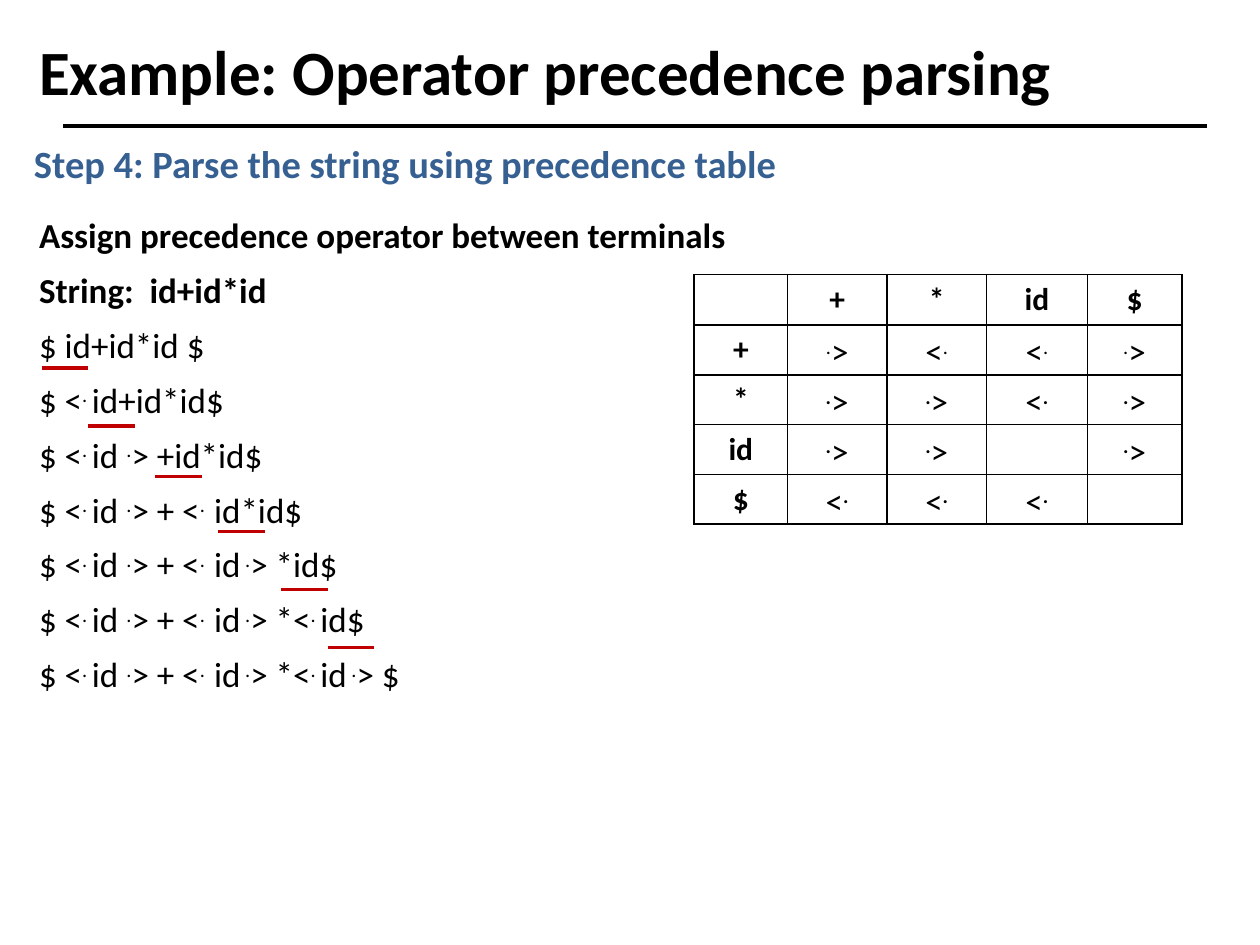
from dataclasses import dataclass
from lxml.etree import SubElement as Sub
from pptx import Presentation
from pptx.dml.color import RGBColor as RGB
from pptx.enum.shapes import MSO_CONNECTOR as Conn
from pptx.enum.text import MSO_ANCHOR as Anchor, MSO_AUTO_SIZE as Fit, PP_ALIGN as Align
from pptx.oxml.ns import qn
from pptx.util import Inches, Pt


@dataclass(frozen=True)
class Theme:
    """Colours, font and type sizes of the slide."""
    font: str = "Calibri"
    ink: str = "000000"
    step: str = "376092"
    mark: str = "C00000"
    title: int = 36
    head: int = 22
    body: int = 20
    label: int = 18


THEME = Theme()
UNIT = Inches(0.1)
COLS, ROWS = 100, 75

LINES = [
    "Assign precedence operator between terminals",
    "String:  id+id*id",
    "$ id+id*id $",
    "$ <|. |id+id*id$",
    "$ <|. |id |.|> +id*id$",
    "$ <|. |id |.|> + <|.  |id*id$",
    "$ <|. |id |.|> + <|.  |id| .|> *id$",
    "$ <|. |id |.|> + <|.  |id| .|> *<|. |id$",
    "$ <|. |id |.|> + <|.  |id| .|> *<|. |id| .|> $",
]
BOLD_LINES = 2
MARKS = [(3.3, 29.2), (7, 33.8), (12.3, 37.8), (17.3, 42.2), (22.3, 46.8), (26, 51.4)]
MARK_LEN = 3.7

LT, GT = "<|.", "|.|>"
HEADS = [["", "+", "*", "id", "$"]]
RULES = [
    ["+", GT, LT, LT, GT],
    ["*", GT, GT, LT, GT],
    ["id", GT, GT, "", GT],
    ["$", LT, LT, LT, ""],
]
WIDTHS = [7.4, 7.9, 7.9, 8, 7.5]
ROW_H = 3.95


def grid(*vals):
    """Turn grid counts into slide lengths."""
    return [round(v * UNIT) for v in vals]


def style(font, size, bold=False, color=THEME.ink):
    """Apply the theme font with a size, weight and colour."""
    font.name, font.size, font.bold = THEME.font, Pt(size), bold
    font.color.rgb = RGB.from_string(color)


def write(para, text, size, bold=False, dots=False):
    """Fill a paragraph, raising every second part between bars."""
    for i, part in enumerate(text.split("|")):
        if not part:
            continue
        run = para.add_run()
        run.text = part
        raised = i % 2 == 1
        style(run.font, size, dots if raised else bold)
        if raised:
            run._r.get_or_add_rPr().set("baseline", "30000")


def place(shape, *box):
    """Move and size a shape on the grid."""
    shape.left, shape.top, shape.width, shape.height = grid(*box)


def add_title(slide, text):
    """Set the slide title."""
    shape = slide.shapes.title
    place(shape, 2.1, 1.2, 95.8, 8.8)
    frame = shape.text_frame
    frame.text = text
    frame.auto_size = Fit.NONE
    frame.vertical_anchor = Anchor.MIDDLE
    para = frame.paragraphs[0]
    para.alignment = Align.LEFT
    style(para.runs[0].font, THEME.title, True)


def add_body(slide):
    """Write the parsing steps into the body placeholder."""
    shape = slide.placeholders[1]
    place(shape, 2.1, 16, 95.8, 53.1)
    frame = shape.text_frame
    frame.auto_size = Fit.NONE
    for i, line in enumerate(LINES):
        para = frame.add_paragraph() if i else frame.paragraphs[0]
        para.line_spacing = 1.14
        if i == 0:
            para.space_before = Pt(0)
        props = para._p.get_or_add_pPr()
        props.set("marL", str(Inches(0.38)))
        props.set("indent", str(-Inches(0.38)))
        Sub(props, qn("a:buNone"))
        write(para, line, THEME.body, i < BOLD_LINES)


def add_step(slide, text):
    """Add the coloured step heading."""
    box = slide.shapes.add_textbox(*grid(0.5, 11.3, 63.3, 3.3))
    frame = box.text_frame
    frame.word_wrap = True
    frame.text = text
    frame.vertical_anchor = Anchor.MIDDLE
    para = frame.paragraphs[0]
    para.alignment = Align.CENTER
    style(para.runs[0].font, THEME.head, True, THEME.step)


def add_rule(slide, left, top, length, color, weight):
    """Draw a level line."""
    ends = grid(left, top, left + length, top)
    line = slide.shapes.add_connector(Conn.STRAIGHT, *ends)
    line.line.color.rgb = RGB.from_string(color)
    line.line.width = Pt(weight)
    Sub(line._element.spPr, qn("a:effectLst"))


def set_edges(cell):
    """Draw thin borders around a clear cell."""
    props = cell._tc.get_or_add_tcPr()
    for side in "LRTB":
        edge = Sub(props, qn("a:ln" + side), w=str(Pt(1)))
        Sub(Sub(edge, qn("a:solidFill")), qn("a:srgbClr"), val=THEME.ink)
    cell.fill.background()


def add_grid(slide, data, top):
    """Add a precedence table with its top on a grid row."""
    box = grid(55.1, top, sum(WIDTHS), ROW_H * len(data))
    table = slide.shapes.add_table(len(data), len(WIDTHS), *box).table
    table.first_row = table.horz_banding = False
    for col, width in zip(table.columns, grid(*WIDTHS)):
        col.width = width
    for r, row in enumerate(data):
        for c, text in enumerate(row):
            cell = table.cell(r, c)
            cell.margin_left = cell.margin_right = Inches(0.07)
            cell.margin_top = cell.margin_bottom = 0
            set_edges(cell)
            para = cell.text_frame.paragraphs[0]
            para.alignment = Align.CENTER
            para.line_spacing = 1.15
            sign = "|" in text
            size = THEME.body if sign else THEME.label
            write(para, text, size, not sign, row[0] != "+")


def main():
    """Build and save the slide."""
    deck = Presentation()
    deck.slide_width, deck.slide_height = grid(COLS, ROWS)
    slide = deck.slides.add_slide(deck.slide_layouts[1])
    add_title(slide, "Example: Operator precedence parsing")
    add_body(slide)
    add_grid(slide, HEADS, 21.8)
    add_grid(slide, RULES, 25.8)
    for left, top in MARKS:
        add_rule(slide, left, top, MARK_LEN, THEME.mark, 2)
    add_step(slide, "Step 4: Parse the string using precedence table")
    add_rule(slide, 5, 10, 90.8, THEME.ink, 2.25)
    deck.save("out.pptx")


if __name__ == "__main__":
    main()
